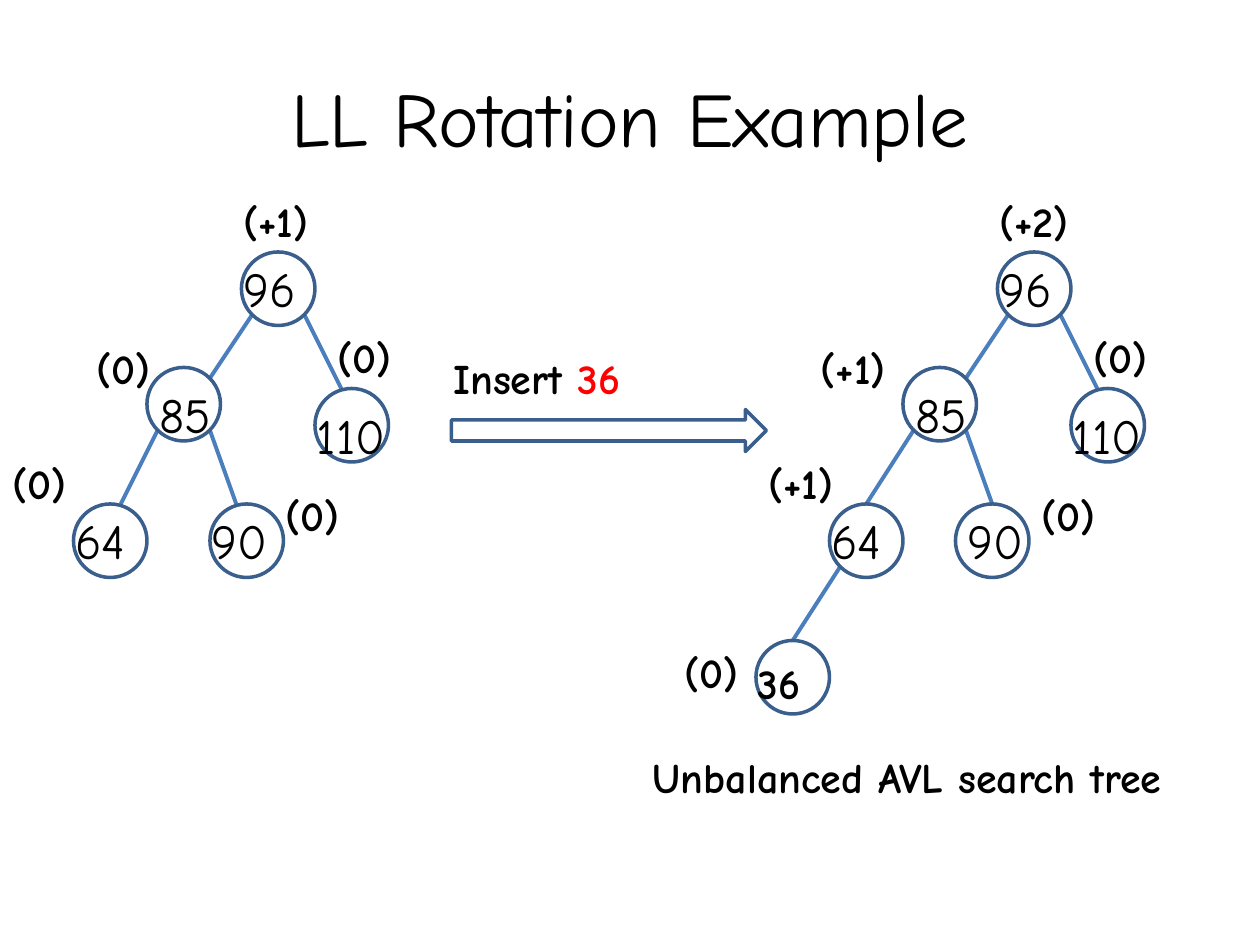
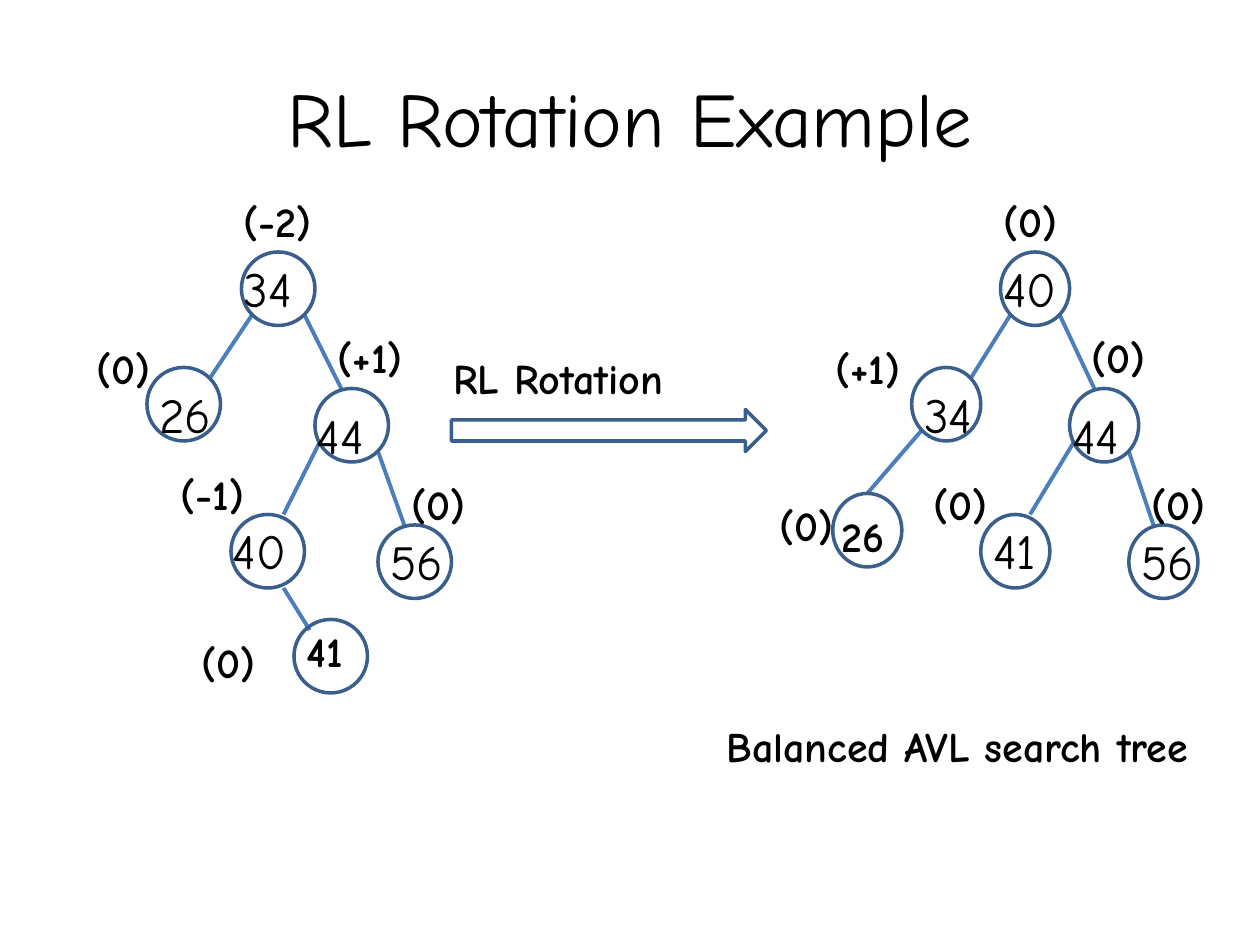
"""Two slides on AVL tree rotations, each with a tree before and after a step."""
import dataclasses

import lxml.etree
import pptx
import pptx.dml.color
import pptx.enum.shapes
import pptx.enum.text
import pptx.oxml.ns
import pptx.util

Pt = pptx.util.Pt
FONT = "Comic Neue"
INK, ACCENT = "000000", "FF0000"
OUTLINE, EDGE = "3A5F8C", "4B7EBC"
CIRCLE = 42
RIGHT_TREE = 432  # distance from the left tree to the right one

# Points where an edge meets a node, measured from the node's top left corner
LOWER_LEFT, LOWER_RIGHT = (6, 36), (36, 36)
SIDE_LEFT, BOTTOM_RIGHT = (3, 30), (30, 42)
TOP_LEFT, TOP_MIDDLE, TOP_RIGHT = (15, 0), (21, 0), (30, 0)
SHOULDER_LEFT, SHOULDER_RIGHT = (9, 6), (36, 6)


@dataclasses.dataclass
class Node:
    """A tree node; key_box and balance_box are (dx, dy, width) from its corner."""
    key: str
    corner: tuple
    key_box: tuple
    balance: str
    balance_box: tuple
    added: bool = False


ROOT_KEY, ROOT_BALANCE = (-6, 0, 78), (-6, -36, 90)
LEFT_KEY, RIGHT_BALANCE = (0, 6, 54), (6, -36, 90)
NARROW_BALANCE, WIDE_BALANCE = (-36, -18, 48), (-54, -18, 66)
LEAF_KEY, SHIFTED_KEY = (0, 0, 54), (-6, 0, 54)

LL_BEFORE = [
    Node("96", (138, 144), ROOT_KEY, "(+1)", ROOT_BALANCE),
    Node("85", (84, 210), LEFT_KEY, "(0)", NARROW_BALANCE),
    Node("110", (180, 222), (-6, 6, 90), "(0)", RIGHT_BALANCE),
    Node("64", (42, 288), SHIFTED_KEY, "(0)", (-42, -30, 90)),
    Node("90", (120, 288), SHIFTED_KEY, "(0)", (36, -12, 90)),
]
LL_BEFORE_EDGES = [
    ("96", LOWER_LEFT, "85", SHOULDER_RIGHT),
    ("96", LOWER_RIGHT, "110", TOP_LEFT),
    ("85", LOWER_LEFT, "64", (27, 0)),
    ("85", LOWER_RIGHT, "90", TOP_LEFT),
]
LL_AFTER = [
    Node("96", (138, 144), ROOT_KEY, "(+2)", ROOT_BALANCE),
    Node("85", (84, 210), LEFT_KEY, "(+1)", WIDE_BALANCE),
    Node("110", (180, 222), (-6, 6, 90), "(0)", RIGHT_BALANCE),
    Node("64", (42, 288), SHIFTED_KEY, "(+1)", (-42, -30, 90)),
    Node("90", (114, 288), LEAF_KEY, "(0)", (42, -12, 90)),
    Node("36", (0, 366), (-6, 6, 60), "(0)", (-48, 0, 90), added=True),
]
LL_AFTER_EDGES = [
    ("96", LOWER_LEFT, "85", SHOULDER_RIGHT),
    ("96", LOWER_RIGHT, "110", TOP_LEFT),
    ("85", LOWER_LEFT, "64", TOP_MIDDLE),
    ("85", LOWER_RIGHT, "90", TOP_MIDDLE),
    ("64", LOWER_LEFT, "36", TOP_MIDDLE),
]
RL_BEFORE = [
    Node("34", (138, 144), ROOT_KEY, "(-2)", ROOT_BALANCE),
    Node("26", (84, 210), LEFT_KEY, "(0)", NARROW_BALANCE),
    Node("44", (180, 222), (-6, 6, 90), "(+1)", RIGHT_BALANCE),
    Node("40", (132, 294), SHIFTED_KEY, "(-1)", (-36, -30, 78)),
    Node("56", (216, 300), LEAF_KEY, "(0)", (12, -30, 90)),
    Node("41", (168, 354), (0, 0, 60), "(0)", (-60, 6, 54), added=True),
]
RL_BEFORE_EDGES = [
    ("34", LOWER_LEFT, "26", SHOULDER_RIGHT),
    ("34", LOWER_RIGHT, "44", TOP_LEFT),
    ("44", SIDE_LEFT, "40", TOP_RIGHT),
    ("44", LOWER_RIGHT, "56", TOP_LEFT),
    ("40", BOTTOM_RIGHT, "41", SHOULDER_LEFT),
]
RL_AFTER = [
    Node("40", (138, 144), ROOT_KEY, "(0)", ROOT_BALANCE),
    Node("34", (84, 210), LEFT_KEY, "(+1)", WIDE_BALANCE),
    Node("44", (180, 222), (-6, 6, 54), "(0)", RIGHT_BALANCE),
    Node("26", (36, 282), (-2, 6, 63), "(0)", (-40, 0, 57), added=True),
    Node("41", (126, 294), LEAF_KEY, "(0)", (-36, -24, 90)),
    Node("56", (216, 300), LEAF_KEY, "(0)", (6, -30, 54)),
]
RL_AFTER_EDGES = [
    ("40", LOWER_LEFT, "34", SHOULDER_RIGHT),
    ("40", LOWER_RIGHT, "44", TOP_LEFT),
    ("44", SIDE_LEFT, "41", TOP_RIGHT),
    ("44", LOWER_RIGHT, "56", TOP_LEFT),
    ("34", LOWER_LEFT, "26", TOP_MIDDLE),
]


def color(hex_string):
    """Turn a hex string into a colour."""
    return pptx.dml.color.RGBColor.from_string(hex_string)


def format_span(span, size, bold=False, ink=INK):
    """Set the font of one run."""
    span.font.name = FONT
    span.font.size = Pt(size)
    span.font.bold = bold
    span.font.color.rgb = color(ink)


def add_title(page, text):
    """Fill and place the title placeholder."""
    title = page.shapes.title
    title.left, title.top, title.width, title.height = Pt(36), Pt(21.6), Pt(648), Pt(90)
    frame = title.text_frame
    frame.text = text
    frame.vertical_anchor = pptx.enum.text.MSO_ANCHOR.MIDDLE
    para = frame.paragraphs[0]
    para.alignment = pptx.enum.text.PP_ALIGN.CENTER
    format_span(para.runs[0], 44)


def add_text(shapes, text, left, top, width, size=24, bold=True):
    """Add a text box that grows with its text; return its paragraph."""
    box = shapes.add_textbox(Pt(left), Pt(top), Pt(width), Pt(41 if size > 24 else 36))
    frame = box.text_frame
    frame.word_wrap = True
    frame.auto_size = pptx.enum.text.MSO_AUTO_SIZE.SHAPE_TO_FIT_TEXT
    frame.text = text
    para = frame.paragraphs[0]
    format_span(para.runs[0], size, bold)
    return para


def add_outline(shapes, kind, left, top, width, height):
    """Add an unfilled preset shape."""
    shape = shapes.add_shape(kind, Pt(left), Pt(top), Pt(width), Pt(height))
    shape.shadow.inherit = False
    shape.fill.background()
    shape.line.color.rgb = color(OUTLINE)
    shape.line.width = Pt(2)


def add_edge(shapes, start, end):
    """Add a straight line between two points."""
    line = shapes.add_connector(pptx.enum.shapes.MSO_CONNECTOR.STRAIGHT,
                                Pt(start[0]), Pt(start[1]), Pt(end[0]), Pt(end[1]))
    line.line.color.rgb = color(EDGE)
    line.line.width = Pt(2.25)
    lxml.etree.SubElement(line._element.spPr, pptx.oxml.ns.qn("a:effectLst"))


def add_tree(page, nodes, edges, origin=0, stretch=1):
    """Draw a tree as a group, moved by origin and stretched sideways."""
    shapes = page.shapes.add_group_shape().shapes
    corners = {node.key: node.corner for node in nodes}

    def place(corner, offset):
        """Find the slide position of a point near a node."""
        return origin + stretch * (corner[0] + offset[0]), corner[1] + offset[1]

    for parent, start, child, end in edges:
        add_edge(shapes, place(corners[parent], start), place(corners[child], end))
    for node in nodes:
        left, top = place(node.corner, (0, 0))
        add_outline(shapes, pptx.enum.shapes.MSO_SHAPE.OVAL,
                    left, top, CIRCLE * stretch, CIRCLE)
        add_text(shapes, node.key, *place(node.corner, node.key_box),
                 node.key_box[2] * stretch, 24 if node.added else 28, node.added)
        add_text(shapes, node.balance, *place(node.corner, node.balance_box),
                 node.balance_box[2] * stretch)


def add_step(page, text, highlight=""):
    """Add the block arrow between the trees and the words above it."""
    add_outline(page.shapes, pptx.enum.shapes.MSO_SHAPE.RIGHT_ARROW, 258, 234, 180, 24)
    para = add_text(page.shapes, text, 252, 198, 150)
    if highlight:
        span = para.add_run()
        span.text = highlight
        format_span(span, 24, True, ACCENT)


def add_page(deck, title):
    """Add a slide that has only a title."""
    page = deck.slides.add_slide(deck.slide_layouts[5])
    add_title(page, title)
    return page


def main():
    """Build and save the deck."""
    deck = pptx.Presentation()
    deck.slide_width, deck.slide_height = Pt(720), Pt(540)

    page = add_page(deck, "LL Rotation Example")
    add_step(page, "Insert ", "36")
    add_tree(page, LL_BEFORE, LL_BEFORE_EDGES)
    add_tree(page, LL_AFTER, LL_AFTER_EDGES, RIGHT_TREE)
    add_text(page.shapes, "Unbalanced AVL search tree", 366, 426, 330)

    page = add_page(deck, "RL Rotation Example")
    add_step(page, "RL Rotation")
    add_tree(page, RL_BEFORE, RL_BEFORE_EDGES)
    add_tree(page, RL_AFTER, RL_AFTER_EDGES, RIGHT_TREE + 10, 0.94)
    add_text(page.shapes, "Balanced AVL search tree", 408, 408, 312)

    deck.save("out.pptx")


main()
